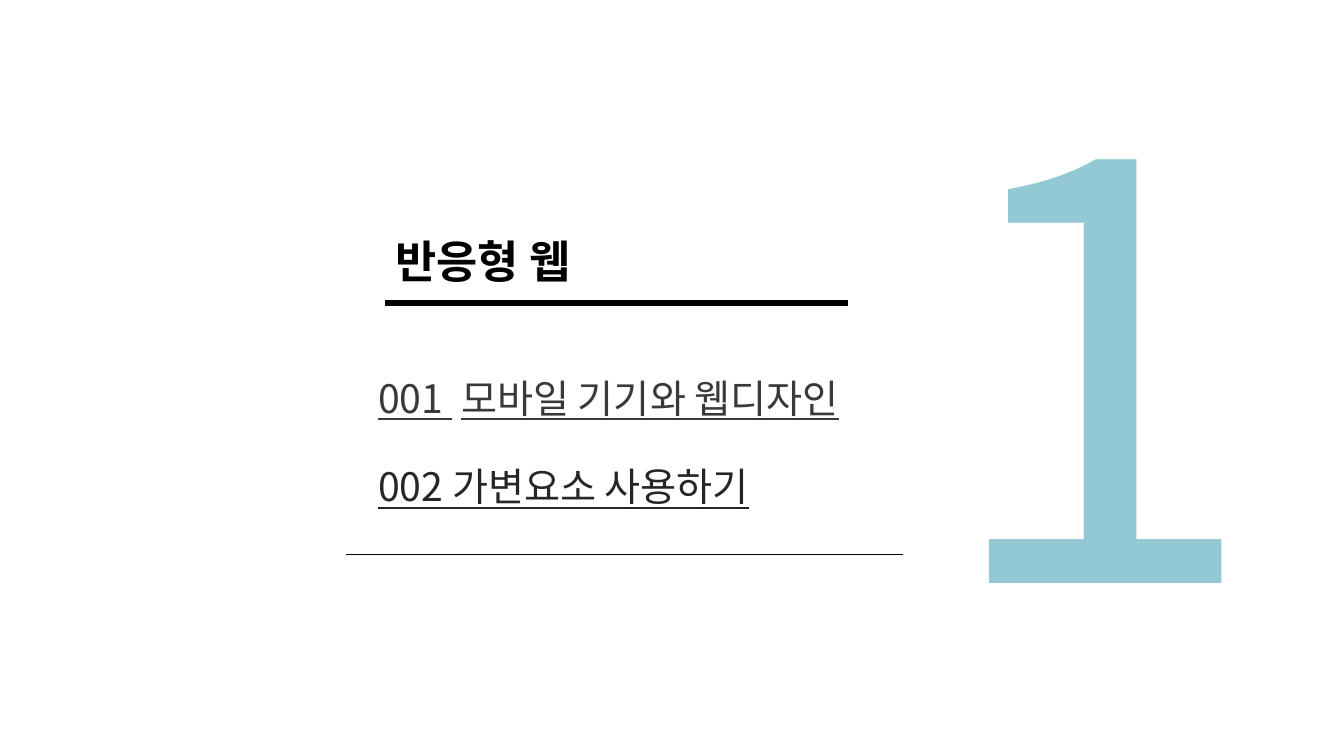
from lxml import etree
from pptx import Presentation
from pptx.dml.color import RGBColor
from pptx.enum.shapes import MSO_CONNECTOR
from pptx.enum.text import MSO_ANCHOR, MSO_AUTO_SIZE, PP_ALIGN
from pptx.oxml.ns import qn
from pptx.util import Inches, Pt

FONT = "Noto Sans CJK KR"
BLACK = RGBColor(0x00, 0x00, 0x00)
TEAL = RGBColor(0x93, 0xC9, 0xD4)
GREY = RGBColor(0x3B, 0x38, 0x38)
DARK = RGBColor(0x26, 0x26, 0x26)
TOPIC_PITCH = 63.4
TOPICS = [
    ("001", "모바일 기기와 웹디자인", GREY, 13),
    ("002", "가변요소 사용하기", DARK, 0),
]


def place(sp, left, top, width, height):
    """Position a text shape and make its frame wrap from the top."""
    sp.left, sp.top = Inches(left), Inches(top)
    sp.width, sp.height = Inches(width), Inches(height)
    tf = sp.text_frame
    tf.auto_size = MSO_AUTO_SIZE.NONE
    tf.word_wrap = True
    tf.vertical_anchor = MSO_ANCHOR.TOP
    return tf


def add_text(p, text, size, color, bold=False, underline=False, spacing=0):
    """Append a run; spacing is extra character spacing in half points."""
    r = p.add_run()
    r.text = text
    f = r.font
    f.name, f.size, f.bold, f.underline = FONT, Pt(size), bold, underline
    f.color.rgb = color
    rPr = r._r.get_or_add_rPr()
    etree.SubElement(rPr, qn("a:ea")).set("typeface", FONT)
    if spacing:
        rPr.set("spc", str(spacing * 50))
    p.alignment = PP_ALIGN.LEFT


def add_rule(slide, left, right, y, weight):
    line = slide.shapes.add_connector(
        MSO_CONNECTOR.STRAIGHT, Inches(left), Inches(y), Inches(right), Inches(y))
    line.line.color.rgb = BLACK
    line.line.width = Pt(weight)
    etree.SubElement(line._element.spPr, qn("a:effectLst"))


def add_topics(body):
    tf = place(body, 3.65, 3.66, 5.3, 1.55)
    for i, (number, name, color, spacing) in enumerate(TOPICS):
        p = tf.add_paragraph() if i else tf.paragraphs[0]
        p.space_before = Pt(0)
        if i:
            p.line_spacing = Pt(TOPIC_PITCH)
        pPr = p._p.get_or_add_pPr()
        pPr.set("marL", "0")
        pPr.set("indent", "0")
        etree.SubElement(pPr, qn("a:buNone"))
        add_text(p, number, 28, color, underline=True)
        add_text(p, " ", 28, color, underline=True, spacing=spacing)
        add_text(p, name, 28, color, underline=True)


def main():
    prs = Presentation()
    prs.slide_width, prs.slide_height = Inches(13.33), Inches(7.5)
    slide = prs.slides.add_slide(prs.slide_layouts[1])
    title, body = slide.placeholders

    tf = place(slide.shapes.add_textbox(0, 0, 0, 0), 9.21, 0, 3.82, 7.05)
    add_text(tf.paragraphs[0], "1", 413, TEAL)

    add_rule(slide, 3.82, 8.41, 3.01, 4.25)
    add_rule(slide, 3.43, 8.96, 5.5, 0.25)

    tf = place(title, 3.82, 2.27, 4.59, 0.64)
    add_text(tf.paragraphs[0], "반응형 웹", 32, BLACK, bold=True)
    add_topics(body)

    prs.save("out.pptx")


if __name__ == "__main__":
    main()
